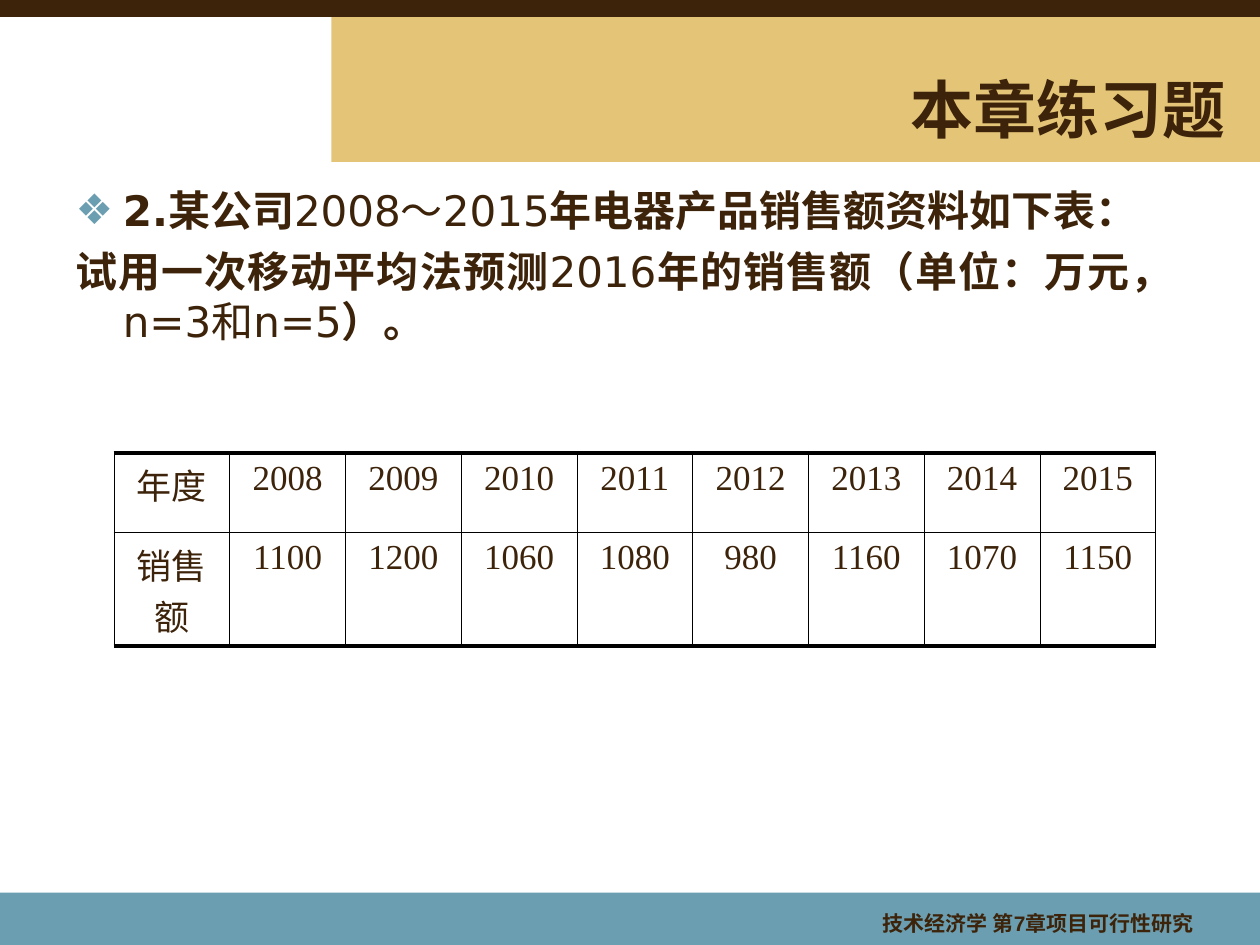
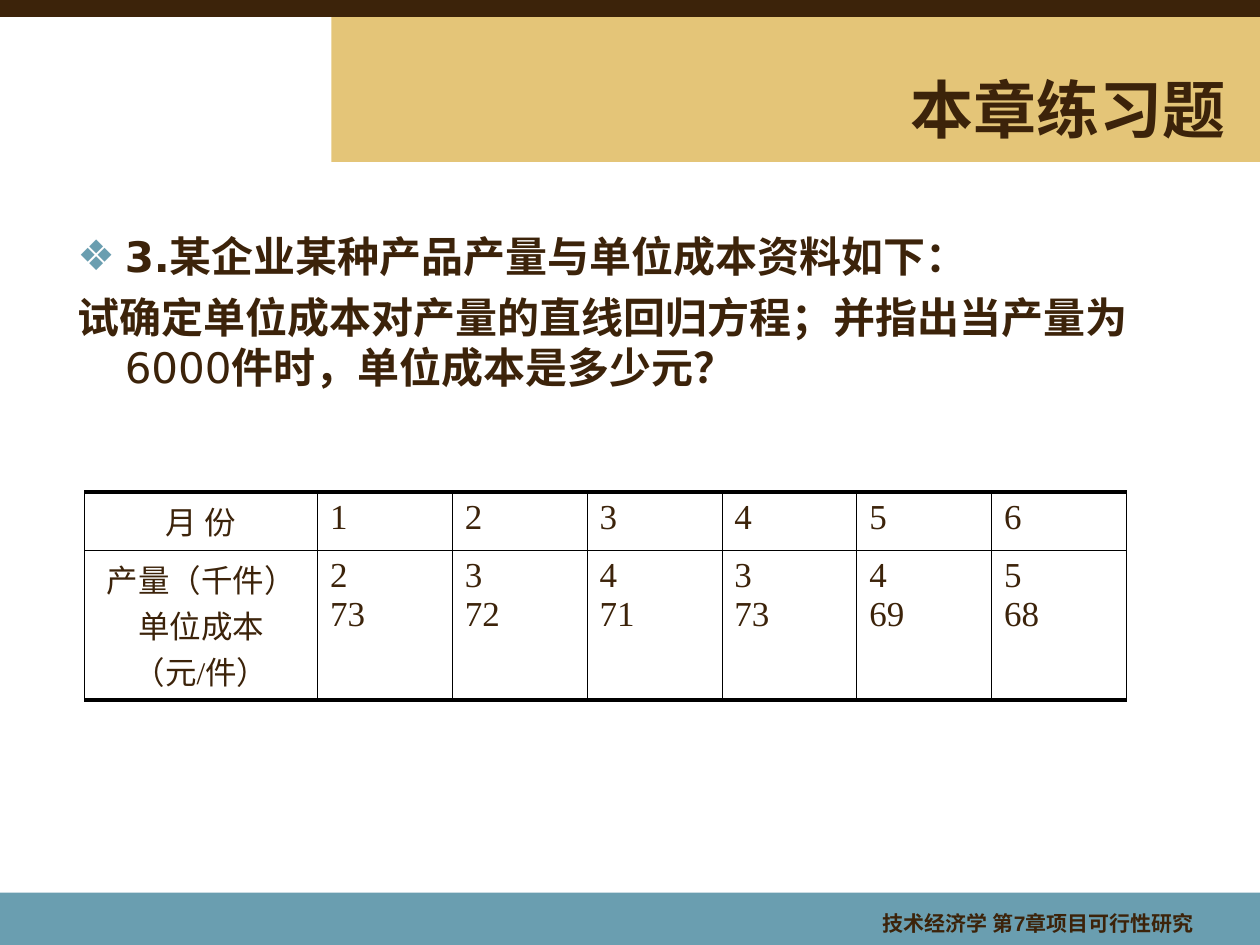
import collections
import pptx
import pptx.dml.color
import pptx.enum.shapes
import pptx.enum.text
import pptx.oxml
import pptx.oxml.ns
import pptx.util

Pt = pptx.util.Pt
RGB = pptx.dml.color.RGBColor.from_string
Align = pptx.enum.text.PP_ALIGN
Anchor = pptx.enum.text.MSO_ANCHOR

COLS, ROWS = 100, 75
UNIT = pptx.util.Inches(0.1)

Box = collections.namedtuple("Box", "left top width height")
Run = collections.namedtuple("Run", "text bold", defaults=[True])
Cell = collections.namedtuple("Cell", "lines size align")


class Theme:
    brown, gold, blue, black = "3C230A", "E4C578", "6A9EB0", "000000"
    head, body, grid = "Arial", "DejaVu Sans", "Times New Roman"
    title, text, data, label, foot = 36, 24, 20, 18, 12
    thin, thick = 0.45, 2.5
    indent, gap = 3.75, 6


BANDS = [
    (Box(26.3, 1.35, 73.7, 11.5), Theme.gold),
    (Box(0, 70.85, COLS, ROWS - 70.85), Theme.blue),
    (Box(0, 0, COLS, 1.35), Theme.brown),
]
TITLE = Box(29.1, 5.5, 69.2, 6.2)
FOOT = Box(58.7, 71.75, 37, 3.25)


def span(count):
    """Turn grid units into a length."""
    return round(count * UNIT)


def place(shape, box):
    shape.left, shape.top, shape.width, shape.height = map(span, box)


def write(para, text, font, size, bold):
    run = para.add_run()
    run.text = text
    run.font.name, run.font.size, run.font.bold = font, Pt(size), bold
    run.font.color.rgb = RGB(Theme.brown)


def add_xml(parent, text):
    """Append one drawing element, given without its namespace."""
    space = pptx.oxml.ns.nsdecls("a")
    tag, rest = text.split(" ", 1)
    parent.append(pptx.oxml.parse_xml(f"<a:{tag} {space} {rest}"))


def add_bands(deck, slide):
    """Draw the bands on a slide, then move them to the back of the master."""
    tree = deck.slide_master.shapes.element
    for pos, (box, color) in enumerate(BANDS, 2):
        band = slide.shapes.add_shape(
            pptx.enum.shapes.MSO_SHAPE.RECTANGLE, *map(span, box))
        band.shadow.inherit = False
        band.fill.solid()
        band.fill.fore_color.rgb = RGB(color)
        band.line.fill.background()
        tree.insert(pos, band.element)


def add_title(slide, box, text):
    title = slide.shapes.title
    place(title, box)
    frame = title.text_frame
    frame.auto_size = pptx.enum.text.MSO_AUTO_SIZE.NONE
    frame.vertical_anchor = Anchor.MIDDLE
    para = frame.paragraphs[0]
    para.alignment = Align.RIGHT
    write(para, text, Theme.head, Theme.title, True)


def add_foot(slide, box, text):
    frame = slide.shapes.add_textbox(*map(span, box)).text_frame
    frame.word_wrap = True
    para = frame.paragraphs[0]
    para.alignment = Align.RIGHT
    write(para, text, Theme.head, Theme.foot, True)


def add_task(slide, box, paras):
    """Fill the body with a bulleted question and its plain follow-up."""
    body = slide.placeholders[1]
    place(body, box)
    frame = body.text_frame
    frame.auto_size = pptx.enum.text.MSO_AUTO_SIZE.NONE
    frame.vertical_anchor = Anchor.TOP
    for pos, (align, runs) in enumerate(paras):
        para = frame.add_paragraph() if pos else frame.paragraphs[0]
        para.alignment = align
        para.space_before = Pt(Theme.gap if pos else 0)
        props = para._p.get_or_add_pPr()
        props.set("marL", str(span(Theme.indent)))
        props.set("indent", str(-span(Theme.indent)))
        props.set("hangingPunct", "0")
        if pos:
            add_xml(props, "buNone />")
        else:
            add_xml(props, f'buClr ><a:srgbClr val="{Theme.blue}"/></a:buClr>')
            add_xml(props, 'buFont typeface="DejaVu Sans"/>')
            add_xml(props, 'buChar char="❖"/>')
        for run in runs:
            write(para, run.text, Theme.body, Theme.text, run.bold)


def add_rules(cell, first, last):
    """Rule a cell thinly, with a thick line on the table's top and bottom."""
    props = cell._tc.get_or_add_tcPr()
    for side, heavy in dict(L=False, R=False, T=first, B=last).items():
        width = Pt(Theme.thick if heavy else Theme.thin)
        add_xml(props, f'ln{side} w="{width}"><a:solidFill><a:srgbClr '
                       f'val="{Theme.black}"/></a:solidFill></a:ln{side}>')
    cell.fill.background()


def add_grid(slide, box, shares, heights, rows):
    """Add a table whose columns split the box's width by shares."""
    table = slide.shapes.add_table(
        len(rows), len(shares), *map(span, box)).table
    table.first_row = table.horz_banding = False
    for col, share in zip(table.columns, shares):
        col.width = span(box.width * share / sum(shares))
    for i, (row, height) in enumerate(zip(rows, heights)):
        table.rows[i].height = span(height)
        for j, item in enumerate(row):
            cell = table.cell(i, j)
            add_rules(cell, i == 0, i == len(rows) - 1)
            frame = cell.text_frame
            for k, line in enumerate(item.lines):
                para = frame.add_paragraph() if k else frame.paragraphs[0]
                para.alignment = item.align
                write(para, line, Theme.grid, item.size, False)


def add_page(deck):
    slide = deck.slides.add_slide(deck.slide_layouts[1])
    add_title(slide, TITLE, "本章练习题")
    add_foot(slide, FOOT, "技术经济学 第7章项目可行性研究")
    return slide


def sales_page(deck):
    slide = add_page(deck)
    add_task(slide, Box(5, 14.15, 89.1, 18.6), [
        (Align.JUSTIFY, [Run("2.某公司"), Run("2008～2015", False),
                         Run("年电器产品销售额资料如下表：")]),
        (Align.JUSTIFY, [Run("试用一次移动平均法预测"), Run("2016", False),
                         Run("年的销售额（单位：万元，"),
                         Run("n=3和n=5", False), Run("）。")]),
    ])
    sales = [1100, 1200, 1060, 1080, 980, 1160, 1070, 1150]
    rows = [["年度", *range(2008, 2016)], ["销售额", *sales]]
    add_grid(slide, Box(9.05, 35.95, 82.7, 15.35), [1] * 9, [6.3, 9.05], [
        [Cell([str(item)], Theme.data, Align.CENTER) for item in row]
        for row in rows])
    return slide


def cost_page(deck):
    slide = add_page(deck)
    add_task(slide, Box(5.15, 17.8, 89.1, 18.6), [
        (Align.JUSTIFY, [Run("3.某企业某种产品产量与单位成本资料如下：")]),
        (Align.LEFT, [Run("试确定单位成本对产量的直线回归方程；并指出当产量为"),
                      Run("6000", False), Run("件时，单位成本是多少元？")]),
    ])
    output = [2, 3, 4, 3, 4, 5]
    cost = [73, 72, 71, 73, 69, 68]
    rows = [
        (["月 份"], [[month] for month in range(1, 7)]),
        (["产量（千件）", "单位成本（元/件）"], zip(output, cost)),
    ]
    add_grid(slide, Box(6.7, 39.05, 82.7, 16.5), [1.85] + [1.07] * 6,
             [4.6, 11.9], [
        [Cell(label, Theme.label, Align.CENTER)]
        + [Cell(map(str, data), Theme.data, Align.LEFT) for data in items]
        for label, items in rows])


def main():
    deck = pptx.Presentation()
    deck.slide_width, deck.slide_height = span(COLS), span(ROWS)
    add_bands(deck, sales_page(deck))
    cost_page(deck)
    deck.save("out.pptx")


if __name__ == "__main__":
    main()
